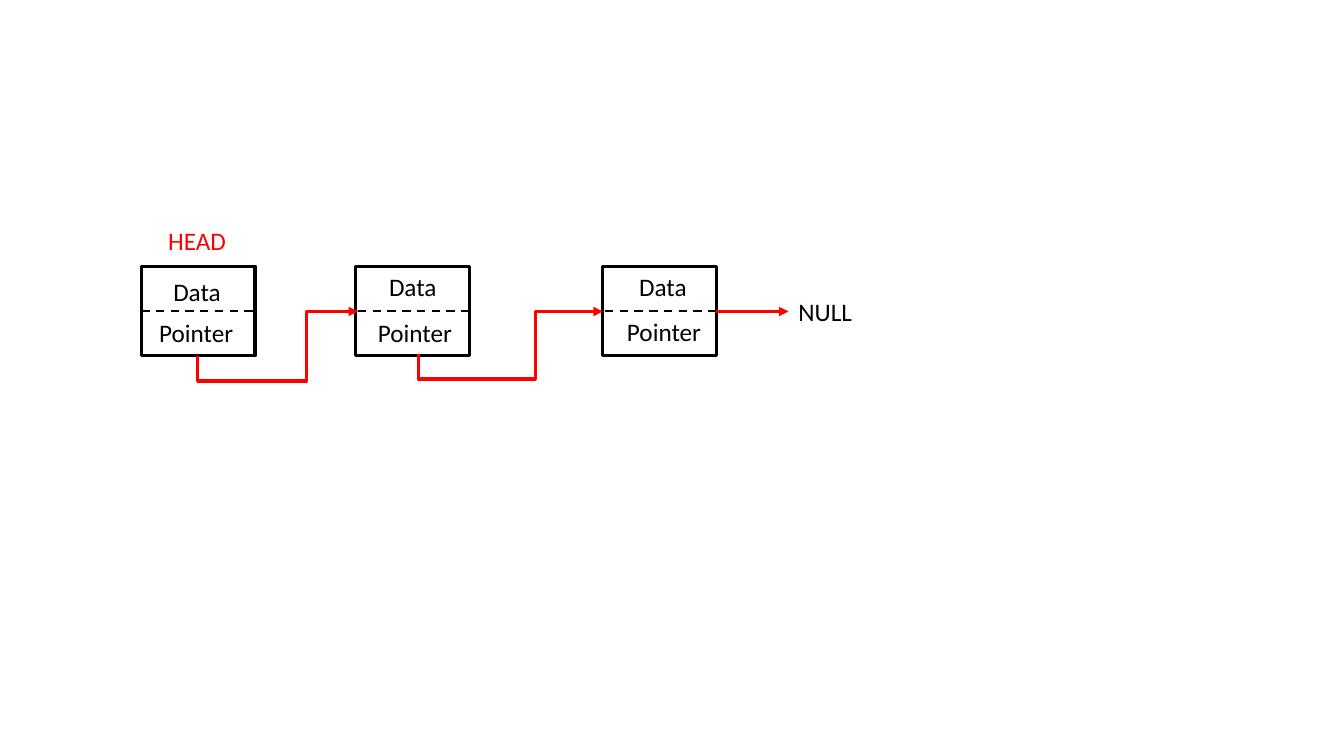
from lxml import etree
from pptx import Presentation
from pptx.dml.color import RGBColor
from pptx.enum.dml import MSO_LINE_DASH_STYLE as DASH
from pptx.enum.shapes import MSO_CONNECTOR as CONNECTOR, MSO_SHAPE as SHAPE
from pptx.enum.text import MSO_AUTO_SIZE as AUTO_SIZE
from pptx.oxml.ns import qn
from pptx.util import Emu, Pt

BLACK = RGBColor(0x00, 0x00, 0x00)
RED = RGBColor(0xFF, 0x00, 0x00)
PX = 9144  # 100 px to the inch
NODE_TOP, NODE_WIDTH, NODE_HEIGHT = 264, 113, 89
MIDDLE = 309  # height of the dividers and arrowheads

# Per node: box left, divider left, then left, top, width of both labels
NODES = [
    (140, 140, (162, 269, 89), (148, 310, 99)),
    (353, 355, (376, 264, 89), (365, 310, 100)),
    (598, 600, (624, 264, 89), (612, 309, 101)),
]


def px(value):
    return Emu(round(value * PX))


def add_text(group, text, left, top, width, color=BLACK, size=18, font="Calibri"):
    box = group.shapes.add_textbox(px(left), px(top), px(width), px(40))
    frame = box.text_frame
    frame.word_wrap = True
    frame.auto_size = AUTO_SIZE.SHAPE_TO_FIT_TEXT
    span = frame.paragraphs[0].add_run()
    span.text = text
    span.font.name = font
    span.font.size = Pt(size)
    span.font.color.rgb = color


def add_box(group, left):
    box = group.shapes.add_shape(
        SHAPE.RECTANGLE, px(left), px(NODE_TOP), px(NODE_WIDTH), px(NODE_HEIGHT))
    box.shadow.inherit = False
    box.fill.background()
    box.line.color.rgb = BLACK
    box.line.width = Pt(2.25)


def add_line(group, start, end, color=BLACK, width=1.5, dash=None, arrow=False,
             kind=CONNECTOR.STRAIGHT):
    line = group.shapes.add_connector(kind, *map(px, start + end))
    line.line.color.rgb = color
    line.line.width = Pt(width)
    if dash:
        line.line.dash_style = dash
    if arrow:
        etree.SubElement(line.line._get_or_add_ln(), qn("a:tailEnd"), type="triangle")
    etree.SubElement(line._element.spPr, qn("a:effectLst"))
    return line


def add_link(group, start, end, bottom, turn):
    """Arrow that drops to bottom, runs to turn, rises and enters the next node."""
    run, rise = end[0] - start[0], start[1] - end[1]
    center_x, center_y = (start[0] + end[0]) / 2, (start[1] + end[1]) / 2
    # Laid out before a quarter turn, so run and rise change places
    line = add_line(
        group,
        (center_x + rise / 2, center_y + run / 2),
        (center_x - rise / 2, center_y - run / 2),
        color=RED, width=2.25, arrow=True, kind=CONNECTOR.ELBOW)
    properties = line._element.spPr
    properties.find(qn("a:xfrm")).set("rot", "5400000")
    geometry = properties.find(qn("a:prstGeom"))
    geometry.set("prst", "bentConnector4")
    guides = geometry.find(qn("a:avLst"))
    shares = ((start[1] - bottom) / rise, (turn - start[0]) / run)
    for number, share in enumerate(shares, 1):
        etree.SubElement(guides, qn("a:gd"), name=f"adj{number}",
                         fmla=f"val {round(share * 100000)}")


def main():
    deck = Presentation()
    deck.slide_width, deck.slide_height = px(1333), px(750)
    page = deck.slides.add_slide(deck.slide_layouts[6])
    diagram = page.shapes.add_group_shape()

    # Nodes
    for box_left, divider_left, data, pointer in NODES:
        add_box(diagram, box_left)
        add_line(diagram, (divider_left, MIDDLE), (divider_left + 112, MIDDLE),
                 dash=DASH.DASH)
        add_text(diagram, "Data", *data)
        add_text(diagram, "Pointer", *pointer)

    # Links from node to node
    add_link(diagram, (196, 353), (355, MIDDLE), bottom=378, turn=304)
    add_link(diagram, (415, 351), (598, MIDDLE), bottom=376, turn=531)

    # Ends of the list
    add_text(diagram, "NULL", 782, 289, 100)
    add_text(diagram, "HEAD", 157, 219, 100, color=RED)
    add_line(diagram, (710, MIDDLE), (782, MIDDLE), color=RED, width=2.25, arrow=True)

    deck.save("out.pptx")


if __name__ == "__main__":
    main()
